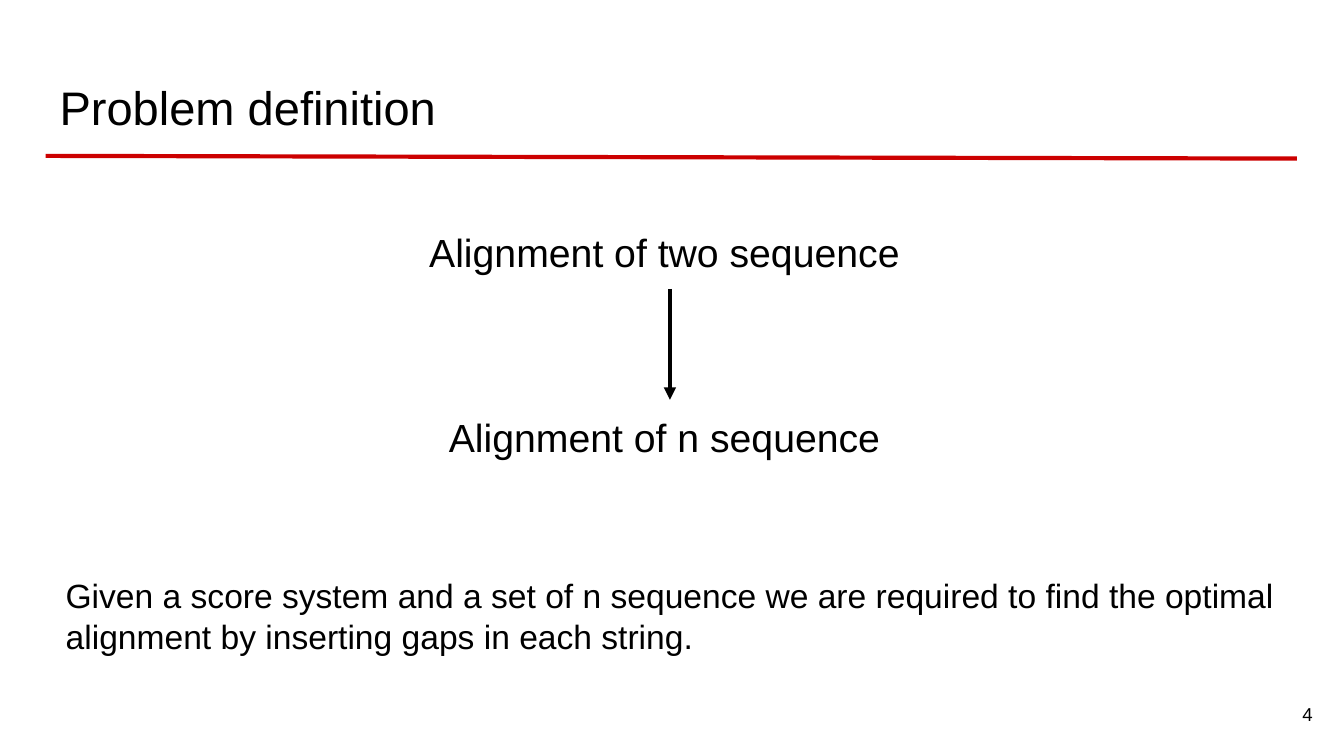
from lxml.etree import SubElement
from pptx import Presentation
from pptx.dml.color import RGBColor
from pptx.enum.shapes import MSO_CONNECTOR
from pptx.enum.text import MSO_ANCHOR, PP_ALIGN
from pptx.oxml.ns import qn
from pptx.util import Pt

PX = 4572  # EMU per px, 200 px to the inch
BLACK = RGBColor(0x00, 0x00, 0x00)
WHITE = RGBColor(0xFF, 0xFF, 0xFF)
RED = RGBColor(0xCC, 0x00, 0x00)


class SlideBuilder:
    font = "Arial"
    inset = 20
    line_width = Pt(2.25)

    def __init__(self, slide):
        self.slide = slide

    def background(self, color):
        fill = self.slide.background.fill
        fill.solid()
        fill.fore_color.rgb = color

    def text(self, words, left, top, width, height, size,
             align=PP_ALIGN.LEFT, anchor=MSO_ANCHOR.TOP):
        box = self.slide.shapes.add_textbox(left * PX, top * PX, width * PX, height * PX)
        frame = box.text_frame
        frame.word_wrap = True
        frame.vertical_anchor = anchor
        frame.margin_left = frame.margin_right = self.inset * PX
        frame.margin_top = frame.margin_bottom = self.inset * PX
        paragraph = frame.paragraphs[0]
        paragraph.alignment = align
        run = paragraph.add_run()
        run.text = words
        run.font.name = self.font
        run.font.size = Pt(size)
        run.font.color.rgb = BLACK

    def line(self, x1, y1, x2, y2, color, arrow=False):
        connector = self.slide.shapes.add_connector(
            MSO_CONNECTOR.STRAIGHT, x1 * PX, y1 * PX, x2 * PX, y2 * PX)
        connector.line.color.rgb = color
        connector.line.width = self.line_width
        properties = connector._element.spPr
        if arrow:
            SubElement(properties.find(qn("a:ln")), qn("a:tailEnd"), type="triangle")
        SubElement(properties, qn("a:effectLst"))


def main():
    deck = Presentation()
    deck.slide_width, deck.slide_height = 2000 * PX, 1125 * PX
    page = SlideBuilder(deck.slides.add_slide(deck.slide_layouts[6]))
    page.background(WHITE)

    # Title with rule
    page.text("Problem definition", 69, 97, 1864, 126, 25.2)
    page.line(68, 232, 1930, 236, RED)

    # Page number
    page.text("4", 1853, 1020, 120, 86, 10, PP_ALIGN.RIGHT, MSO_ANCHOR.MIDDLE)

    # From two sequences to n
    for count, top in (("two", 320), ("n", 595)):
        page.text(f"Alignment of {count} sequence ", 76, top, 1842, 112, 21, PP_ALIGN.CENTER)
    page.line(997, 430, 997, 595, BLACK, arrow=True)

    # Problem statement
    page.text("Given a score system and a set of n sequence we are required to find "
              "the optimal alignment by inserting gaps in each string.",
              78, 836, 1842, 184, 18)

    deck.save("out.pptx")


if __name__ == "__main__":
    main()
